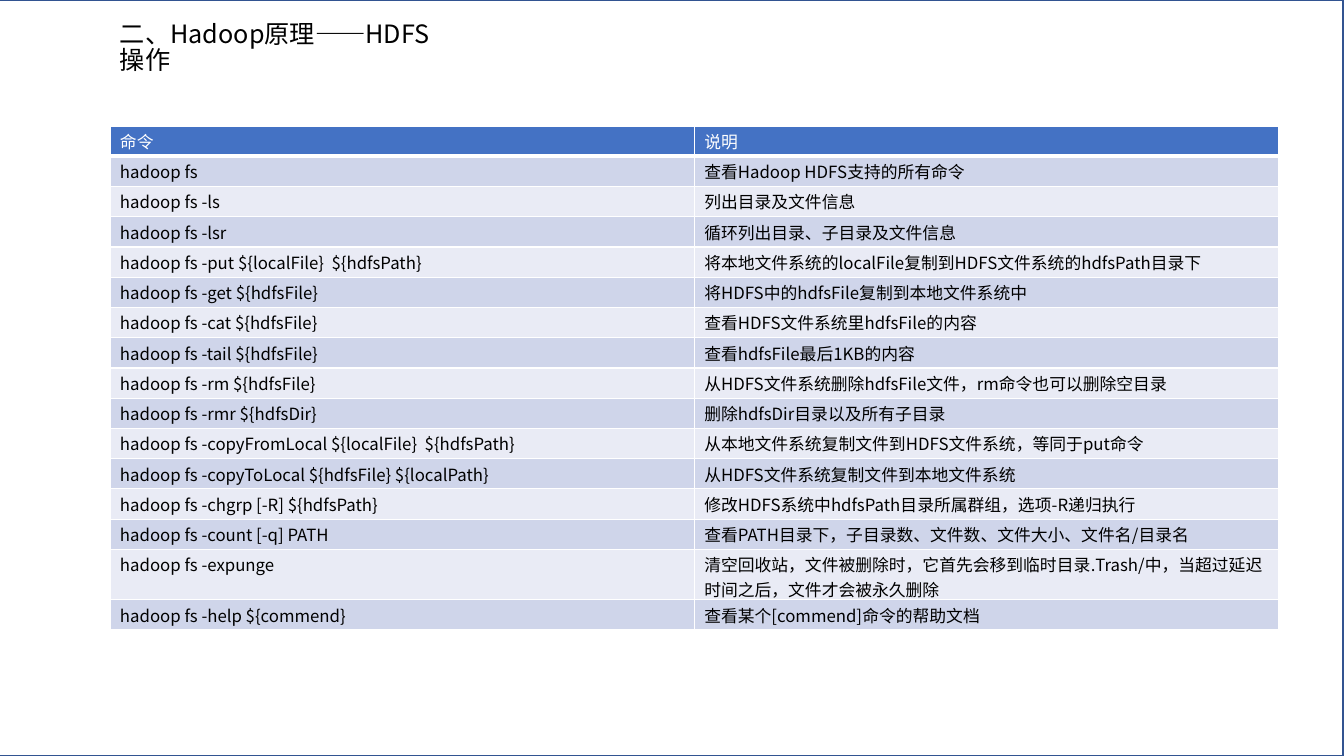
"""Build the slide that lists the HDFS shell commands."""
from dataclasses import dataclass

from lxml import etree
from pptx import Presentation
from pptx.dml import color
from pptx.enum import shapes, text
from pptx.oxml import ns
from pptx import util as u

PX = 9144
FONT = "Noto Sans CJK SC"
WHITE, BLACK, BLUE = "FFFFFF", "000000", "4472C4"
BANDS = ("CFD5EA", "E9EBF5")


@dataclass(frozen=True)
class Row:
    cmd: str
    note: str
    high: int = 30


ROWS = (
    Row("命令", "说明"),
    Row("hadoop fs", "查看Hadoop HDFS支持的所有命令"),
    Row("hadoop fs -ls", "列出目录及文件信息"),
    Row("hadoop fs -lsr", "循环列出目录、子目录及文件信息"),
    Row("hadoop fs -put ${localFile}  ${hdfsPath}",
        "将本地文件系统的localFile复制到HDFS文件系统的hdfsPath目录下"),
    Row("hadoop fs -get ${hdfsFile}", "将HDFS中的hdfsFile复制到本地文件系统中"),
    Row("hadoop fs -cat ${hdfsFile}", "查看HDFS文件系统里hdfsFile的内容"),
    Row("hadoop fs -tail ${hdfsFile}", "查看hdfsFile最后1KB的内容"),
    Row("hadoop fs -rm ${hdfsFile}", "从HDFS文件系统删除hdfsFile文件，rm命令也可以删除空目录"),
    Row("hadoop fs -rmr ${hdfsDir}", "删除hdfsDir目录以及所有子目录"),
    Row("hadoop fs -copyFromLocal ${localFile}  ${hdfsPath}",
        "从本地文件系统复制文件到HDFS文件系统，等同于put命令"),
    Row("hadoop fs -copyToLocal ${hdfsFile} ${localPath}",
        "从HDFS文件系统复制文件到本地文件系统"),
    Row("hadoop fs -chgrp [-R] ${hdfsPath}",
        "修改HDFS系统中hdfsPath目录所属群组，选项-R递归执行"),
    Row("hadoop fs -count [-q] PATH",
        "查看PATH目录下，子目录数、文件数、文件大小、文件名/目录名"),
    Row("hadoop fs -expunge",
        "清空回收站，文件被删除时，它首先会移到临时目录.Trash/中，"
        "当超过延迟时间之后，文件才会被永久删除", 50),
    Row("hadoop fs -help ${commend}", "查看某个[commend]命令的帮助文档"),
)


def px(num: int) -> u.Emu:
    return u.Emu(num * PX)


def rgb(code: str) -> color.RGBColor:
    return color.RGBColor.from_string(code)


def write(frame, words: str, size: int, ink: str) -> None:
    frame.text = words
    for run in frame.paragraphs[0].runs:
        font = run.font
        font.name, font.size = FONT, u.Pt(size)
        font.color.rgb = rgb(ink)
        east = etree.SubElement(font._element, ns.qn("a:ea"))
        east.set("typeface", FONT)


def edge(cell, side: str, width: int) -> None:
    line = etree.SubElement(cell._tc.get_or_add_tcPr(), ns.qn("a:ln" + side))
    line.set("w", str(u.Pt(width)))
    fill = etree.SubElement(line, ns.qn("a:solidFill"))
    etree.SubElement(fill, ns.qn("a:srgbClr")).set("val", WHITE)


def add_frame(slide) -> None:
    box = slide.shapes.add_shape(
        shapes.MSO_SHAPE.RECTANGLE, px(-1), px(0), px(1333), px(750))
    box.shadow.inherit = False
    box.fill.background()
    box.line.color.rgb = rgb("325491")
    box.line.width = u.Pt(1)


def add_title(slide) -> None:
    title = slide.shapes.title
    title.left, title.top = px(109), px(18)
    title.width, title.height = px(348), px(40)
    frame = title.text_frame
    frame.word_wrap = True
    frame.auto_size = text.MSO_AUTO_SIZE.SHAPE_TO_FIT_TEXT
    frame.vertical_anchor = text.MSO_ANCHOR.TOP
    write(frame, "二、Hadoop原理——HDFS操作", 18, BLACK)
    para = frame.paragraphs[0]
    para.alignment = text.PP_ALIGN.LEFT
    para.line_spacing = 0.85


def add_grid(slide) -> None:
    total = sum(row.high for row in ROWS)
    grid = slide.shapes.add_table(
        len(ROWS), 2, px(109), px(125), px(1159), px(total)).table
    for num, row in enumerate(ROWS):
        grid.rows[num].height = px(row.high)
        sides = {"L": 1, "R": 1, "T": 3 if num == 1 else 1,
                 "B": 3 if num == 0 else 1}
        for cell, words in zip(grid.rows[num].cells, (row.cmd, row.note)):
            write(cell.text_frame, words, 12, BLACK if num else WHITE)
            cell.margin_top, cell.margin_bottom = px(3), px(0)
            for side, width in sides.items():
                edge(cell, side, width)
            cell.fill.solid()
            cell.fill.fore_color.rgb = rgb(BANDS[(num - 1) % 2] if num else BLUE)


def main() -> None:
    deck = Presentation()
    deck.slide_width, deck.slide_height = px(1333), px(750)
    slide = deck.slides.add_slide(deck.slide_layouts[5])
    add_frame(slide)
    add_title(slide)
    add_grid(slide)
    deck.save("out.pptx")


if __name__ == "__main__":
    main()
